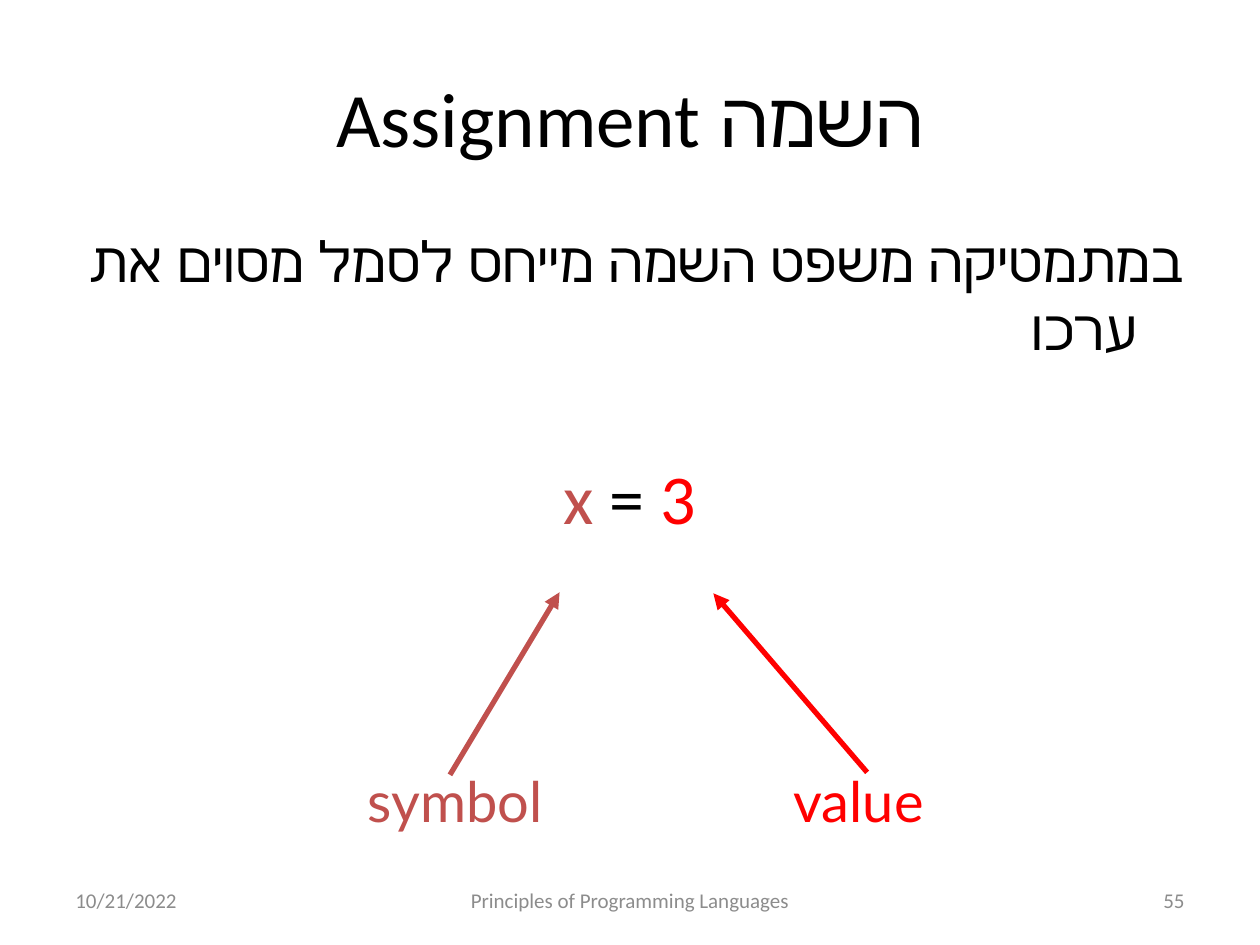
from dataclasses import dataclass
from typing import Any, NamedTuple

from lxml.etree import SubElement
from pptx import Presentation
from pptx.dml.color import RGBColor
from pptx.enum.shapes import MSO_CONNECTOR as Connector
from pptx.enum.text import MSO_ANCHOR as Anchor, PP_ALIGN as Align
from pptx.oxml.ns import qn
from pptx.util import Cm, Pt


@dataclass(frozen=True)
class Theme:
    font: str = "Calibri"
    label_font: str = "Lato"
    black: str = "000000"
    grey: str = "8C8C8C"
    symbol: str = "C0504D"
    value: str = "FF0000"
    title_size: int = 44
    equation_size: int = 40
    body_size: int = 32
    footer_size: int = 12
    arrow_width: int = 3


THEME = Theme()


class Run(NamedTuple):
    text: str
    size: int
    color: str = THEME.black
    font: str = THEME.font


@dataclass(frozen=True)
class Line:
    runs: list[Run]
    align: Align = Align.LEFT
    right_to_left: bool = False
    hanging: float = 0
    space_before: float = 0


@dataclass(frozen=True)
class TextBlock:
    box: tuple[float, float, float, float]  # left, top, width, height in cm
    lines: list[Line]
    anchor: Anchor = Anchor.TOP


class Arrow(NamedTuple):
    start: tuple[float, float]
    end: tuple[float, float]
    color: str


def apply(target: Any, values: dict[str, Any]) -> None:
    for name, value in values.items():
        setattr(target, name, value)


def draw_text(slide: Any, block: TextBlock) -> None:
    frame = slide.shapes.add_textbox(*map(Cm, block.box)).text_frame
    apply(frame, {"word_wrap": True, "vertical_anchor": block.anchor})
    for index, line in enumerate(block.lines):
        paragraph = frame.add_paragraph() if index else frame.paragraphs[0]
        apply(paragraph, {"alignment": line.align,
                          "space_before": Pt(line.space_before)})
        properties = paragraph._p.get_or_add_pPr()
        if line.right_to_left:
            properties.set("rtl", "1")
        if line.hanging:
            properties.set("marL", str(Cm(line.hanging)))
            properties.set("indent", str(-Cm(line.hanging)))
        for item in line.runs:
            run = paragraph.add_run()
            run.text = item.text
            apply(run.font, {"name": item.font, "size": Pt(item.size)})
            run.font.color.rgb = RGBColor.from_string(item.color)


def draw_arrow(slide: Any, arrow: Arrow) -> None:
    connector = slide.shapes.add_connector(
        Connector.STRAIGHT, *map(Cm, arrow.start + arrow.end))
    connector.line.width = Pt(THEME.arrow_width)
    connector.line.color.rgb = RGBColor.from_string(arrow.color)
    SubElement(connector.line._get_or_add_ln(), qn("a:tailEnd"), type="triangle")
    SubElement(connector._element.spPr, qn("a:effectLst"))


def footer(text: str, left: float, width: float, align: Align) -> TextBlock:
    run = Run(text, THEME.footer_size, THEME.grey)
    return TextBlock((left, 17.65, width, 1.01), [Line([run], align)], Anchor.MIDDLE)


def label(text: str, left: float, width: float, color: str) -> TextBlock:
    run = Run(text, THEME.body_size, color, THEME.label_font)
    return TextBlock((left, 15.32, width, 1.6), [Line([run])])


TITLE = TextBlock(
    (1.27, 0.76, 22.86, 3.18),
    [Line([Run("השמה Assignment", THEME.title_size)], Align.CENTER, True)],
    Anchor.MIDDLE)

BODY = TextBlock((1.27, 4.45, 22.86, 12.57), [
    Line([Run("במתמטיקה משפט השמה מייחס לסמל מסוים את ערכו", THEME.body_size)],
         Align.RIGHT, True, hanging=0.95, space_before=6.4),
    Line([Run("x", THEME.equation_size, THEME.symbol),
          Run(" = ", THEME.equation_size),
          Run("3", THEME.equation_size, THEME.value)],
         Align.CENTER, hanging=0.95, space_before=53.5),
])

LABELS = [
    label("symbol", 7.16, 4.95, THEME.symbol),
    label("value", 15.75, 3.28, THEME.value),
]

ARROWS = [
    Arrow((9.07, 15.62), (11.28, 11.94), THEME.symbol),
    Arrow((17.48, 15.57), (14.38, 11.96), THEME.value),
]

FOOTERS = [
    footer("10/21/2022", 1.27, 5.92, Align.LEFT),
    footer("Principles of Programming Languages", 8.68, 8.04, Align.CENTER),
    footer("55", 18.21, 5.92, Align.RIGHT),
]


def main() -> None:
    presentation = Presentation()
    apply(presentation, {"slide_width": Cm(25.4), "slide_height": Cm(19.05)})
    slide = presentation.slides.add_slide(presentation.slide_layouts[6])

    # Title, statement and labels
    for block in [TITLE, BODY, *LABELS]:
        draw_text(slide, block)

    # Arrows from the labels to the equation
    for arrow in ARROWS:
        draw_arrow(slide, arrow)

    # Date, course name and page number
    for block in FOOTERS:
        draw_text(slide, block)

    presentation.save("out.pptx")


if __name__ == "__main__":
    main()
